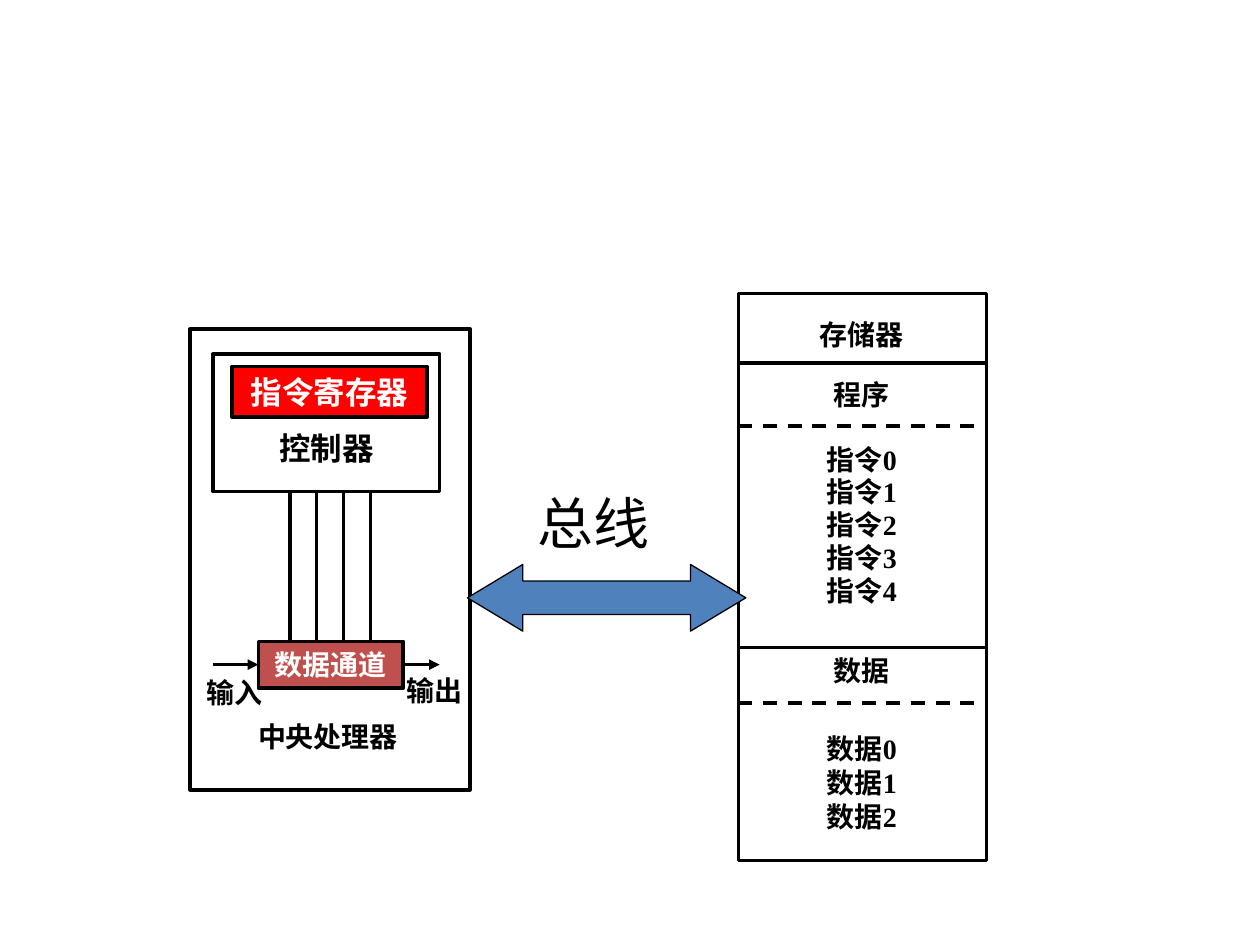
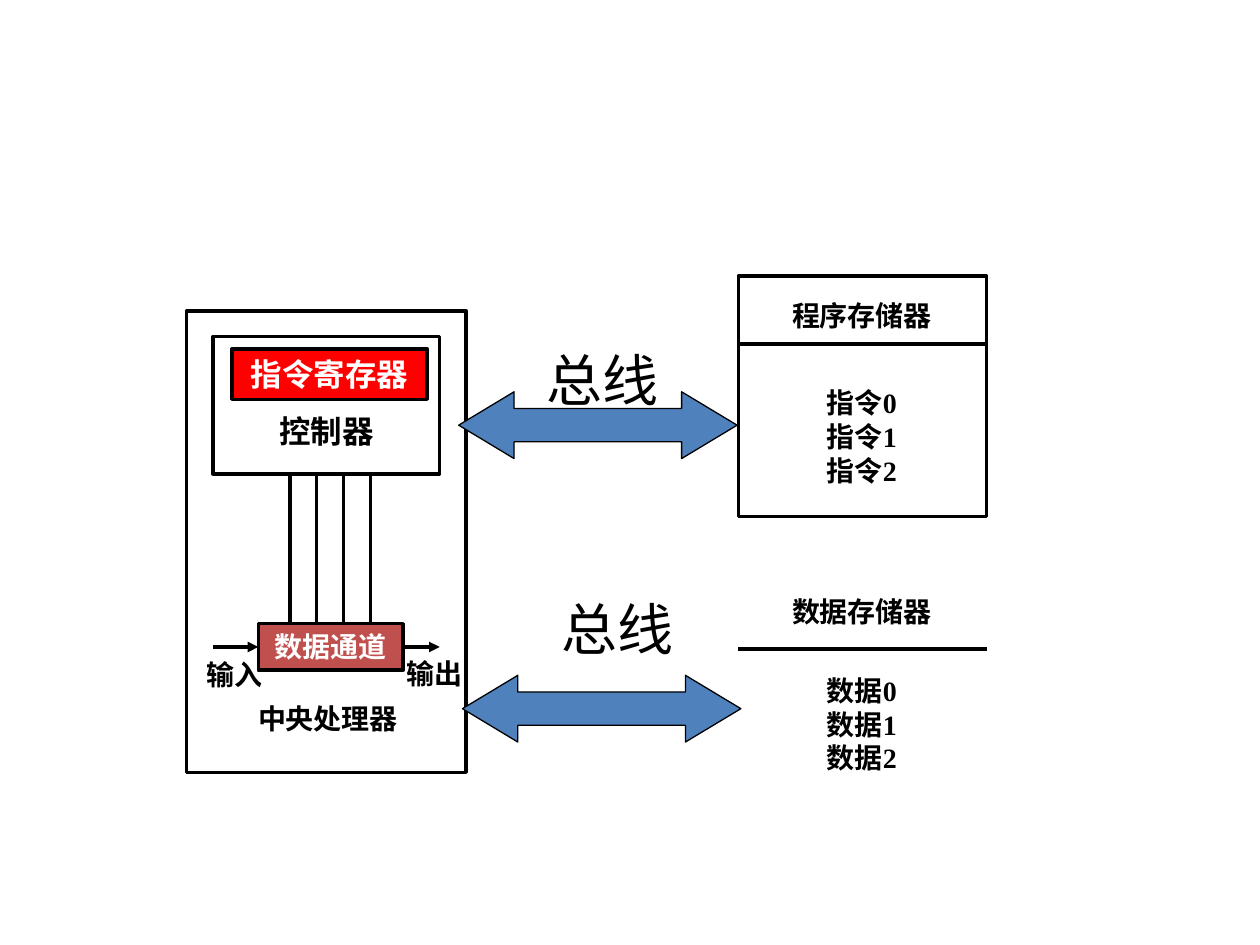
from typing import NamedTuple

from lxml.etree import SubElement
from pptx import Presentation
from pptx.dml.color import RGBColor
from pptx.enum.dml import MSO_LINE
from pptx.enum.shapes import MSO_CONNECTOR, MSO_SHAPE
from pptx.enum.text import MSO_ANCHOR, PP_ALIGN
from pptx.oxml.ns import qn
from pptx.util import Inches, Pt

BLACK = RGBColor(0x00, 0x00, 0x00)
WHITE = RGBColor(0xFF, 0xFF, 0xFF)
REGISTER_RED = RGBColor(0xFF, 0x00, 0x00)
DATAPATH_RED = RGBColor(0xC0, 0x50, 0x4D)
BUS_BLUE = RGBColor(0x4F, 0x81, 0xBD)
FONT = "Times New Roman"

SLIDE_W, SLIDE_H = Inches(10), Inches(7.5)
COLUMNS, ROWS = 100, 75
LABEL_H = 3.7


class Box(NamedTuple):
    left: float
    top: float
    width: float
    height: float

    def inside(self, column, row, width, height):
        return Box(self.left + column, self.top + row, width, height)

    @property
    def right(self):
        return self.left + self.width

    @property
    def bottom(self):
        return self.top + self.height

    @property
    def middle(self):
        return self.top + self.height / 2


class Section(NamedTuple):
    heading: str
    heading_row: float
    rule_row: float
    dashed: bool = False
    stem: str = ""
    count: int = 0
    first_row: float = 0
    step: float = 0


def across(columns):
    return round(SLIDE_W * columns / COLUMNS)


def down(rows):
    return round(SLIDE_H * rows / ROWS)


def place(box):
    return across(box.left), down(box.top), across(box.width), down(box.height)


def write(frame, text, size=16, color=BLACK, bold=True, align=PP_ALIGN.CENTER):
    frame.word_wrap = True
    frame.vertical_anchor = MSO_ANCHOR.TOP
    paragraph = frame.paragraphs[0]
    paragraph.alignment = align
    run = paragraph.add_run()
    run.text = text
    run.font.name = FONT
    run.font.size = Pt(size)
    run.font.bold = bold
    run.font.color.rgb = color


def label(slide, box, text, **style):
    write(slide.shapes.add_textbox(*place(box)).text_frame, text, **style)


def block(slide, box, fill=None, weight=2, preset=MSO_SHAPE.RECTANGLE):
    outline = slide.shapes.add_shape(preset, *place(box))
    outline.shadow.inherit = False
    if fill is None:
        outline.fill.background()
    else:
        outline.fill.solid()
        outline.fill.fore_color.rgb = fill
    outline.line.color.rgb = BLACK
    outline.line.width = Pt(weight)
    return outline


def rule(slide, x1, y1, x2, y2, dashed=False, arrow=False):
    stroke = slide.shapes.add_connector(
        MSO_CONNECTOR.STRAIGHT, across(x1), down(y1), across(x2), down(y2))
    stroke.line.color.rgb = BLACK
    stroke.line.width = Pt(2)
    if dashed:
        stroke.line.dash_style = MSO_LINE.DASH
    properties = stroke._element.spPr
    if arrow:
        SubElement(properties.find(qn("a:ln")), qn("a:tailEnd"), type="triangle")
    SubElement(properties, qn("a:effectLst"))
    return stroke


def processor(slide, box, shift=0):
    block(slide, box)
    core = box.inside(shift, 0, box.width, box.height)
    register = block(slide, core.inside(3.3, 3, 15.5, 4), fill=REGISTER_RED)
    write(register.text_frame, "指令寄存器", size=18, color=WHITE)
    controller = core.inside(1.8, 2, 18, 10.9)
    label(slide, controller.inside(0, 5.5, 18, 4), "控制器", size=18)
    block(slide, controller)

    channel = core.inside(5.4, 24.8, 11.5, LABEL_H)
    datapath = block(slide, channel, fill=DATAPATH_RED)
    write(datapath.text_frame, "数据通道", color=WHITE)
    label(slide, core.inside(0.3, 27, 7.6, LABEL_H), "输入", align=PP_ALIGN.LEFT)
    label(slide, core.inside(16.2, 26.9, 7.6, LABEL_H), "输出", align=PP_ALIGN.LEFT)
    label(slide, core.inside(4.4, 30.5, 13.2, LABEL_H), "中央处理器",
          align=PP_ALIGN.LEFT)

    level = channel.middle
    feed = rule(slide, controller.left, level, channel.left, level, arrow=True)
    feed.end_connect(datapath, 1)
    result = rule(slide, channel.right, level, controller.right, level, arrow=True)
    result.begin_connect(datapath, 3)
    for wire in range(4):
        x = channel.left + 2.5 + 2.13 * wire
        rule(slide, x, controller.bottom, x, channel.top)


def memory(slide, box, sections, framed=True):
    if framed:
        block(slide, box)

    def entry(row, text):
        label(slide, box.inside(3.2, row, 13.2, LABEL_H), text)

    for section in sections:
        entry(section.heading_row, section.heading)
        y = box.top + section.rule_row
        rule(slide, box.left, y, box.right, y, dashed=section.dashed)
        for number in range(section.count):
            entry(section.first_row + section.step * number, f"{section.stem}{number}")


def bus(slide, box, caption):
    arrow = block(slide, box, fill=BUS_BLUE, weight=0.75,
                  preset=MSO_SHAPE.LEFT_RIGHT_ARROW)
    arrow.adjustments[0] = 0.5
    arrow.adjustments[1] = 0.83
    label(slide, caption, "总线", size=32, bold=False)


def shared_memory_slide(slide):
    processor(slide, Box(15.1, 26.1, 22.2, 36.6))
    storage = Box(58.6, 23.3, 19.7, 45)
    memory(slide, storage, [
        Section("存储器", 1.4, 5.5),
        Section("程序", 6.2, 10.5, True, "指令", 5, 11.3, 2.6),
        Section("数据", 28.1, 32.5, True, "数据", 3, 34.3, 2.7),
    ])
    divider = storage.top + 28.1
    rule(slide, storage.left, divider, storage.right, divider)
    bus(slide, Box(37.1, 44.8, 22.1, 5.3), Box(40.8, 38.3, 12.6, 6.4))


def split_memory_slide(slide):
    processor(slide, Box(14.8, 24.7, 22.2, 36.6), shift=0.3)
    memory(slide, Box(58.6, 21.9, 19.7, 19.1),
           [Section("程序存储器", 1.3, 5.4, False, "指令", 3, 8.2, 2.7)])
    memory(slide, Box(58.6, 45.4, 19.7, 19.1),
           [Section("数据存储器", 1.3, 6.1, False, "数据", 3, 7.6, 2.65)],
           framed=False)
    bus(slide, Box(36.4, 31.1, 22.1, 5.3), Box(41.4, 26.9, 12.8, 6.4))
    bus(slide, Box(36.7, 53.6, 22.1, 5.3), Box(42.6, 46.7, 12.8, 6.4))


def main():
    deck = Presentation()
    deck.slide_width, deck.slide_height = SLIDE_W, SLIDE_H
    blank = deck.slide_layouts[6]
    for build in (shared_memory_slide, split_memory_slide):
        build(deck.slides.add_slide(blank))
    deck.save("out.pptx")


if __name__ == "__main__":
    main()
